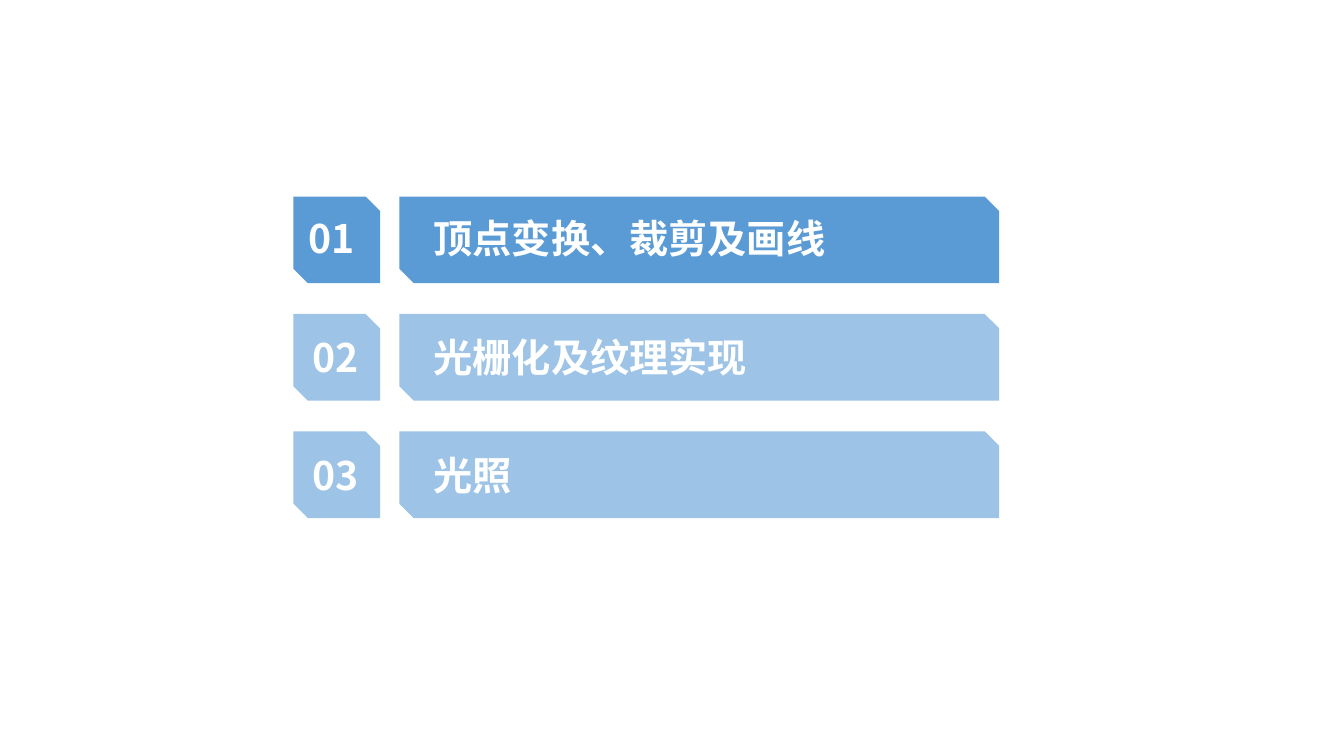
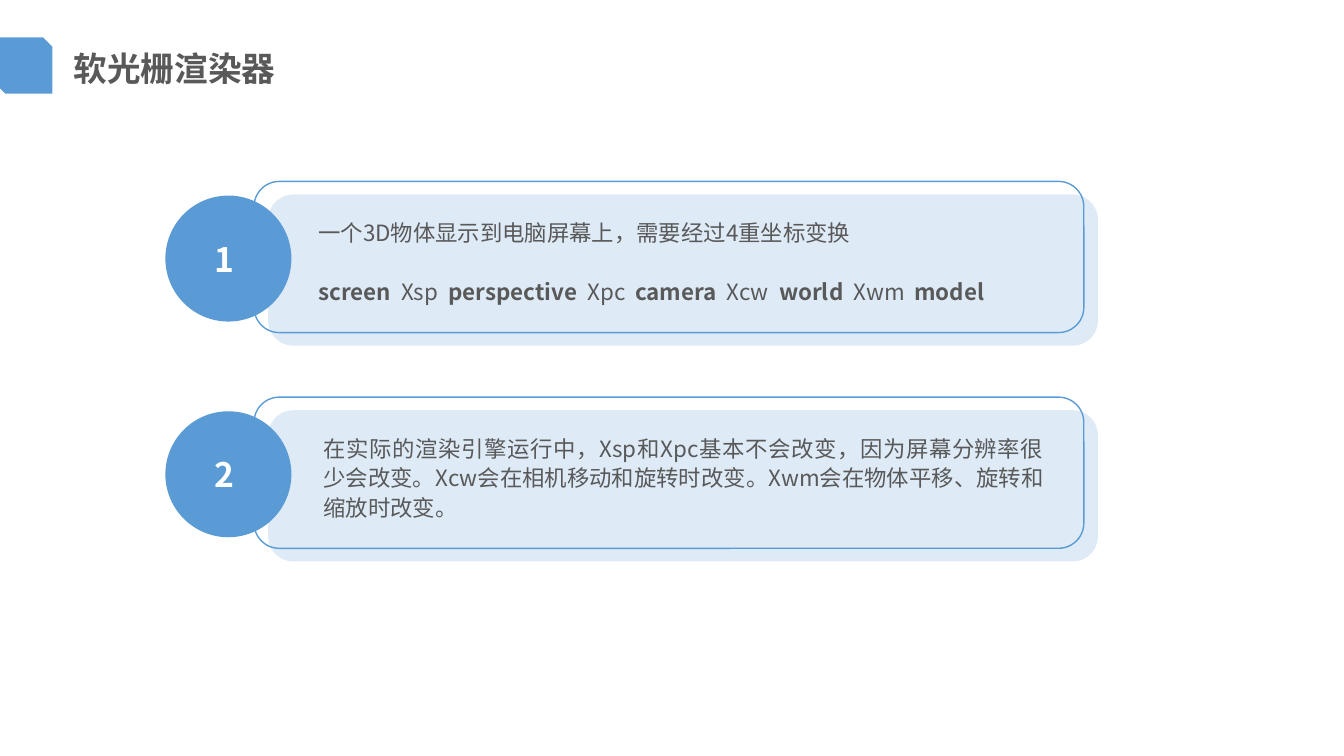
"""Build the agenda slide and the coordinate transform slide of a software rasterizer talk."""
from lxml import etree
from pptx import Presentation
from pptx.dml.color import RGBColor
from pptx.enum.shapes import MSO_SHAPE as Preset
from pptx.enum.text import MSO_ANCHOR as Anchor, MSO_AUTO_SIZE as AutoSize, PP_ALIGN as Align
from pptx.oxml.ns import qn
from pptx.util import Inches, Pt

BLUE = RGBColor(0x5B, 0x9B, 0xD5)
LIGHT_BLUE = RGBColor(0x9D, 0xC3, 0xE6)
PALE_BLUE = RGBColor(0xDE, 0xEB, 0xF7)
GRAY = RGBColor(0x59, 0x59, 0x59)
WHITE = RGBColor(0xFF, 0xFF, 0xFF)
FONT = "Noto Sans CJK SC"


def add_shape(slide, preset, left, top, width, height, fill=None, line=None):
    shape = slide.shapes.add_shape(preset, Inches(left), Inches(top), Inches(width), Inches(height))
    shape.shadow.inherit = False
    if fill is None:
        shape.fill.background()
    else:
        shape.fill.solid()
        shape.fill.fore_color.rgb = fill
    if line is None:
        shape.line.fill.background()
    else:
        shape.line.color.rgb = line
        shape.line.width = Pt(1)
    return shape


def format_text(shape, size, color, bold, align, anchor, margins=(0.1, 0.05, 0.1, 0.05)):
    frame = shape.text_frame
    frame.word_wrap = True
    frame.auto_size = AutoSize.NONE
    frame.vertical_anchor = anchor
    frame.margin_left, frame.margin_top, frame.margin_right, frame.margin_bottom = map(Inches, margins)
    for paragraph in frame.paragraphs:
        paragraph.alignment = align
        for run in paragraph.runs:
            run.font.size = Pt(size)
            run.font.bold = bold
            run.font.name = FONT
            run.font.color.rgb = color
            east_asian = etree.SubElement(run.font._element, qn("a:ea"))
            east_asian.set("typeface", FONT)


presentation = Presentation()
presentation.slide_width = Inches(13.33)
presentation.slide_height = Inches(7.5)

agenda = presentation.slides.add_slide(presentation.slide_layouts[6])
sections = [
    ("01", "顶点变换、裁剪及画线", BLUE, 0.08, 0.05),
    ("02", "光栅化及纹理实现", LIGHT_BLUE, 0.12, 0),
    ("03", "光照", LIGHT_BLUE, 0.12, 0),
]
for index, (number, heading, fill, number_margin, bottom_margin) in enumerate(sections):
    top = 1.95 + index * 1.165
    for text, left, width, margin in [(number, 2.91, 0.86, number_margin), (heading, 3.96, 5.95, 0.27)]:
        bar = add_shape(agenda, Preset.SNIP_2_DIAG_RECTANGLE, left, top, width, 0.86, fill)
        bar.text_frame.text = text
        format_text(bar, 28, WHITE, True, Align.LEFT, Anchor.MIDDLE, (margin, 0, 0, bottom_margin))

transforms = presentation.slides.add_slide(presentation.slide_layouts[5])
add_shape(transforms, Preset.SNIP_2_DIAG_RECTANGLE, -0.04, 0.37, 0.56, 0.56, BLUE)
title = transforms.shapes.title
title.left, title.top, title.width, title.height = map(Inches, (0.63, 0.43, 6, 0.5))
title.text_frame.text = "软光栅渲染器"
format_text(title, 24, GRAY, True, Align.LEFT, Anchor.TOP)

cards = [
    (3.06, [
        "一个3D物体显示到电脑屏幕上，需要经过4重坐标变换",
        "screen\tXsp\tperspective\tXpc\tcamera\tXcw\tworld\tXwm\tmodel",
    ]),
    (3.11, [
        "在实际的渲染引擎运行中，Xsp和Xpc基本不会改变，因为屏幕分辨率很少会改变。"
        "Xcw会在相机移动和旋转时改变。Xwm会在物体平移、旋转和缩放时改变。",
    ]),
]
chain_stops = (0.82, 1.29, 2.67, 3.14, 4.05, 4.57, 5.31, 5.91)
for index, (text_left, lines) in enumerate(cards):
    top = 1.8 + index * 2.14
    add_shape(transforms, Preset.ROUNDED_RECTANGLE, 2.66, top + 0.13, 8.23, 1.5, PALE_BLUE)
    add_shape(transforms, Preset.ROUNDED_RECTANGLE, 2.52, top, 8.23, 1.5, line=BLUE)
    badge = add_shape(transforms, Preset.OVAL, 1.64, top + 0.14, 1.25, 1.25, BLUE)
    badge.text_frame.text = str(index + 1)
    format_text(badge, 24, WHITE, True, Align.CENTER, Anchor.MIDDLE, (0, 0, 0.07, 0))

    body = transforms.shapes.add_textbox(Inches(text_left), Inches(top + 0.3), Inches(7.34), Inches(0.99))
    paragraph = body.text_frame.paragraphs[0]
    paragraph.text = lines[0]
    paragraph.line_spacing = 1.1
    for line in lines[1:]:
        chain = body.text_frame.add_paragraph()
        chain.line_spacing = 1.1
        chain.space_before = Pt(21)
        tab_list = etree.SubElement(chain._p.get_or_add_pPr(), qn("a:tabLst"))
        for position in chain_stops:
            etree.SubElement(tab_list, qn("a:tab"), pos=str(Inches(position)), algn="l")
        for word_index, word in enumerate(line.split("\t")):
            chain.add_run().text = word if word_index == 0 else "\t" + word
    format_text(body, 16, GRAY, False, Align.JUSTIFY, Anchor.TOP)
    for chain in body.text_frame.paragraphs[1:]:
        chain.alignment = Align.LEFT
        for run in chain.runs[::2]:
            run.font.bold = True

presentation.save("out.pptx")
